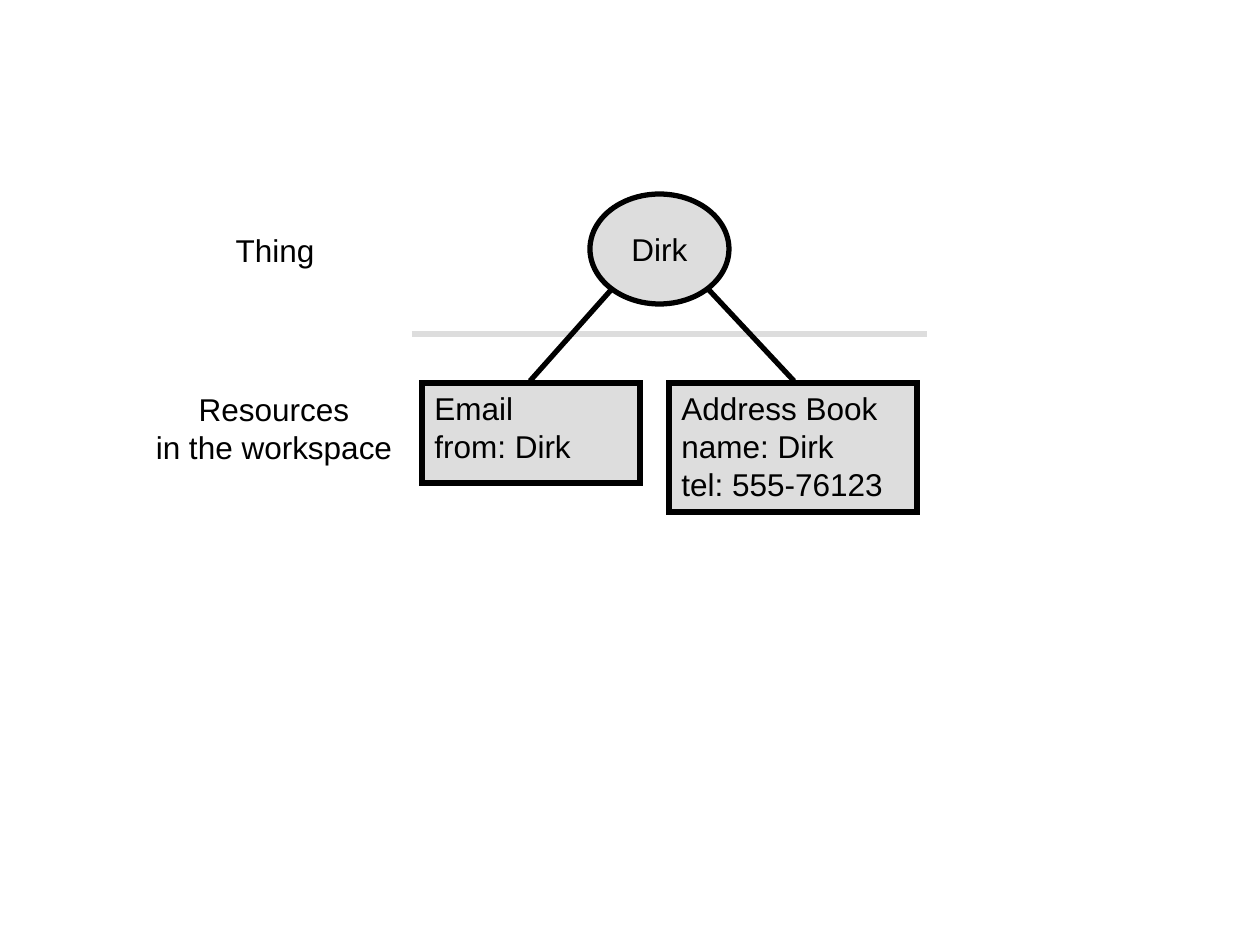
from dataclasses import dataclass

from lxml import etree
from pptx import Presentation
from pptx import util as u
from pptx.dml.color import RGBColor
from pptx.enum import shapes, text
from pptx.oxml import ns


@dataclass(frozen=True)
class Theme:
    ink: RGBColor = RGBColor(0, 0, 0)
    grey: RGBColor = RGBColor(0xDD, 0xDD, 0xDD)
    font: str = "Arial"
    size: u.Pt = u.Pt(18)
    stroke: u.Pt = u.Pt(3)


theme = Theme()
SCALE = u.Inches(1) / 126


def px(*lengths):
    return [u.Emu(round(length * SCALE)) for length in lengths]


def write(shape, paragraphs, alignment):
    frame = shape.text_frame
    for index, lines in enumerate(paragraphs):
        paragraph = frame.add_paragraph() if index else frame.paragraphs[0]
        paragraph.alignment = alignment
        for number, line in enumerate(lines):
            if number:
                paragraph.add_line_break()
            run = paragraph.add_run()
            run.text = line
            run.font.name = theme.font
            run.font.size = theme.size
            run.font.color.rgb = theme.ink


presentation = Presentation()
presentation.slide_width, presentation.slide_height = px(1260, 945)
slide = presentation.slides.add_slide(presentation.slide_layouts[6])

CENTER, LEFT = text.PP_ALIGN.CENTER, text.PP_ALIGN.LEFT
TOP, MIDDLE = text.MSO_ANCHOR.TOP, text.MSO_ANCHOR.MIDDLE
OVAL, BOX = shapes.MSO_SHAPE.OVAL, shapes.MSO_SHAPE.RECTANGLE

labels = [
    ((221, 225, 108, 50), [["Thing"]]),
    ((141, 384, 266, 88), [["Resources", "in the workspace"]]),
]
for area, paragraphs in labels:
    label = slide.shapes.add_textbox(*px(*area))
    label.text_frame.word_wrap = False
    label.text_frame.auto_size = text.MSO_AUTO_SIZE.SHAPE_TO_FIT_TEXT
    write(label, paragraphs, CENTER)

nodes = [
    (OVAL, (590, 194, 139, 110), MIDDLE, CENTER, [["Dirk"]]),
    (BOX, (422, 383, 218, 100), TOP, LEFT, [["Email", "from: Dirk"]]),
    (BOX, (669, 383, 248, 129), TOP, LEFT,
     [["Address Book", "name: Dirk"], ["tel: 555-76123"]]),
]
for kind, area, anchor, alignment, paragraphs in nodes:
    node = slide.shapes.add_shape(kind, *px(*area))
    node.shadow.inherit = False
    node.fill.solid()
    node.fill.fore_color.rgb = theme.grey
    node.line.color.rgb = theme.ink
    node.line.width = theme.stroke
    outline = node.element.find(".//" + ns.qn("a:ln"))
    etree.SubElement(outline, ns.qn("a:miter"), lim="800000")
    node.text_frame.vertical_anchor = anchor
    write(node, paragraphs, alignment)

lines = [
    ((412, 334, 927, 334), theme.grey),
    ((530, 381, 611, 290), theme.ink),
    ((794, 381, 709, 290), theme.ink),
]
for ends, color in lines:
    connector = slide.shapes.add_connector(shapes.MSO_CONNECTOR.STRAIGHT, *px(*ends))
    connector.line.color.rgb = color
    connector.line.width = theme.stroke
    properties = connector.element.find(ns.qn("p:spPr"))
    etree.SubElement(properties, ns.qn("a:effectLst"))

presentation.save("out.pptx")
